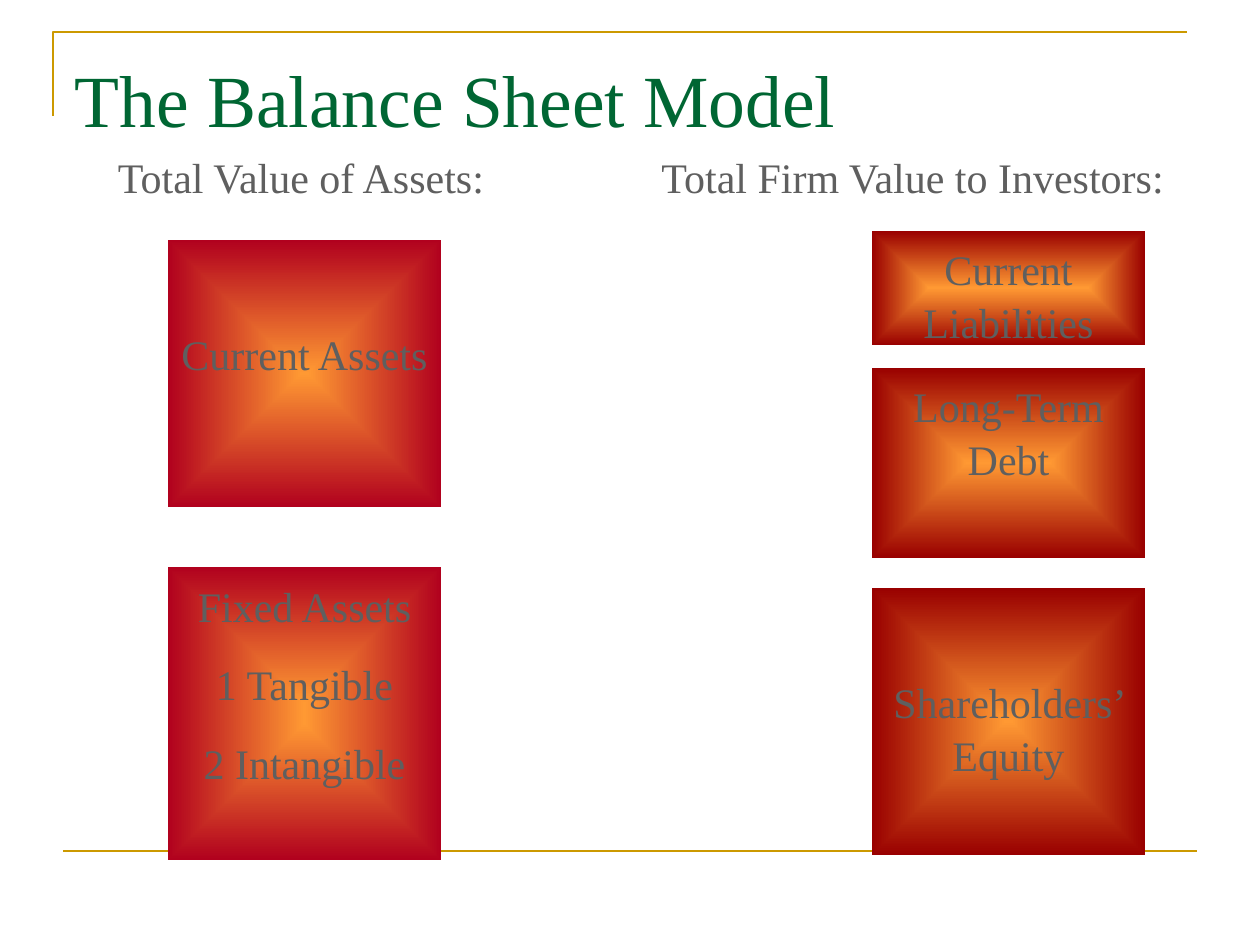
from dataclasses import dataclass

from lxml import etree
from pptx import Presentation
from pptx import util as u
from pptx.dml.color import RGBColor
from pptx.enum import shapes, text
from pptx.oxml import ns


@dataclass(frozen=True)
class Theme:
    """Colours, font and type sizes of the slide."""
    font: str = "Times New Roman"
    head: int = 42
    body: int = 24
    green: str = "006633"
    grey: str = "5F5F5F"
    gold: str = "CC9900"
    glow: str = "FF9933"
    red: str = "B1011E"
    dark: str = "990000"


def px(num):
    """Turn px into EMU."""
    return u.Emu(round(num * 914400 / 126))


def rgb(code):
    """Read a hex colour."""
    return RGBColor.from_string(code)


def write(frame, lines, font, size, color, align="LEFT", inset=(12, 11, 12, 6),
          gap=0, lead=None):
    """Fill a text frame with formatted paragraphs."""
    frame.word_wrap = True
    frame.auto_size = text.MSO_AUTO_SIZE.NONE
    frame.vertical_anchor = text.MSO_ANCHOR.TOP
    (frame.margin_left, frame.margin_top,
     frame.margin_right, frame.margin_bottom) = map(px, inset)
    for idx, line in enumerate(lines):
        para = frame.add_paragraph() if idx else frame.paragraphs[0]
        para.alignment = getattr(text.PP_ALIGN, align)
        if idx:
            para.space_before = u.Pt(gap)
        if lead:
            para.line_spacing = lead
        run = para.add_run()
        run.text = line
        run.font.name = font
        run.font.size = u.Pt(size)
        run.font.color.rgb = rgb(color)


class Deck:
    """Hold the theme and the current slide."""

    def __init__(self, theme):
        """Open a deck with one blank slide."""
        self.theme = theme
        self.file = Presentation()
        self.file.slide_width, self.file.slide_height = px(1260), px(945)
        self.slide = self.file.slides.add_slide(self.file.slide_layouts[6])

    def label(self, box, line, size, color, **form):
        """Add a line of text."""
        item = self.slide.shapes.add_textbox(*map(px, box))
        write(item.text_frame, [line], self.theme.font, size, color, **form)

    def block(self, box, lines, edge, top=11):
        """Add a box that glows from its centre."""
        item = self.slide.shapes.add_shape(shapes.MSO_SHAPE.RECTANGLE, *map(px, box))
        item.shadow.inherit = False
        item.line.fill.background()
        item.fill.gradient()
        for stop, pos, color in zip(item.fill.gradient_stops, (0, 1),
                                    (self.theme.glow, edge)):
            stop.position = pos
            stop.color.rgb = rgb(color)
        grad = item._element.spPr.find(ns.qn("a:gradFill"))
        grad.remove(grad.find(ns.qn("a:lin")))
        way = etree.SubElement(grad, ns.qn("a:path"), path="rect")
        etree.SubElement(way, ns.qn("a:fillToRect"),
                         {side: "50000" for side in "ltrb"})
        write(item.text_frame, lines, self.theme.font, self.theme.body,
              self.theme.grey, align="CENTER", inset=(12, top, 12, 6),
              gap=15, lead=1.04)

    def rule(self, start, end):
        """Add a straight gold line."""
        item = self.slide.shapes.add_connector(
            shapes.MSO_CONNECTOR.STRAIGHT, *map(px, start + end))
        etree.SubElement(item._element.spPr, ns.qn("a:effectLst"))
        self.ink(item)

    def corner(self, points):
        """Add an open gold outline."""
        first, *rest = [tuple(map(px, point)) for point in points]
        path = self.slide.shapes.build_freeform(*first)
        path.add_line_segments(rest, close=False)
        item = path.convert_to_shape()
        item.shadow.inherit = False
        item.fill.background()
        self.ink(item)

    def ink(self, item):
        """Style a gold stroke."""
        item.line.color.rgb = rgb(self.theme.gold)
        item.line.width = u.Pt(1.5)


def main():
    """Build the balance sheet slide."""
    look = Theme()
    deck = Deck(look)
    deck.corner([(53, 116), (53, 32), (1187, 32)])
    deck.rule((63, 851), (1197, 851))
    deck.label((63, 38, 1134, 158), "The Balance Sheet Model", look.head,
               look.green, inset=(12, 16, 12, 6))
    deck.label((42, 147, 567, 58), "Total Value of Assets:", look.body,
               look.grey, inset=(76, 10, 12, 6), lead=0.9)
    deck.label((473, 147, 703, 58), "Total Firm Value to Investors:", look.body,
               look.grey, align="RIGHT", inset=(76, 10, 12, 6), lead=0.9)
    wide, low = 273, 87
    assets = [
        (240, 267, ["Current Assets"], low),
        (567, 293, ["Fixed Assets", "1 Tangible", "2 Intangible"], 11),
    ]
    claims = [
        (231, 114, ["Current Liabilities"], 11),
        (368, 190, ["Long-Term Debt"], 11),
        (588, 267, ["Shareholders’ Equity"], low),
    ]
    for left, edge, rows in ((168, look.red, assets), (872, look.dark, claims)):
        for y, tall, lines, top in rows:
            deck.block((left, y, wide, tall), lines, edge, top)
    deck.file.save("out.pptx")


if __name__ == "__main__":
    main()
